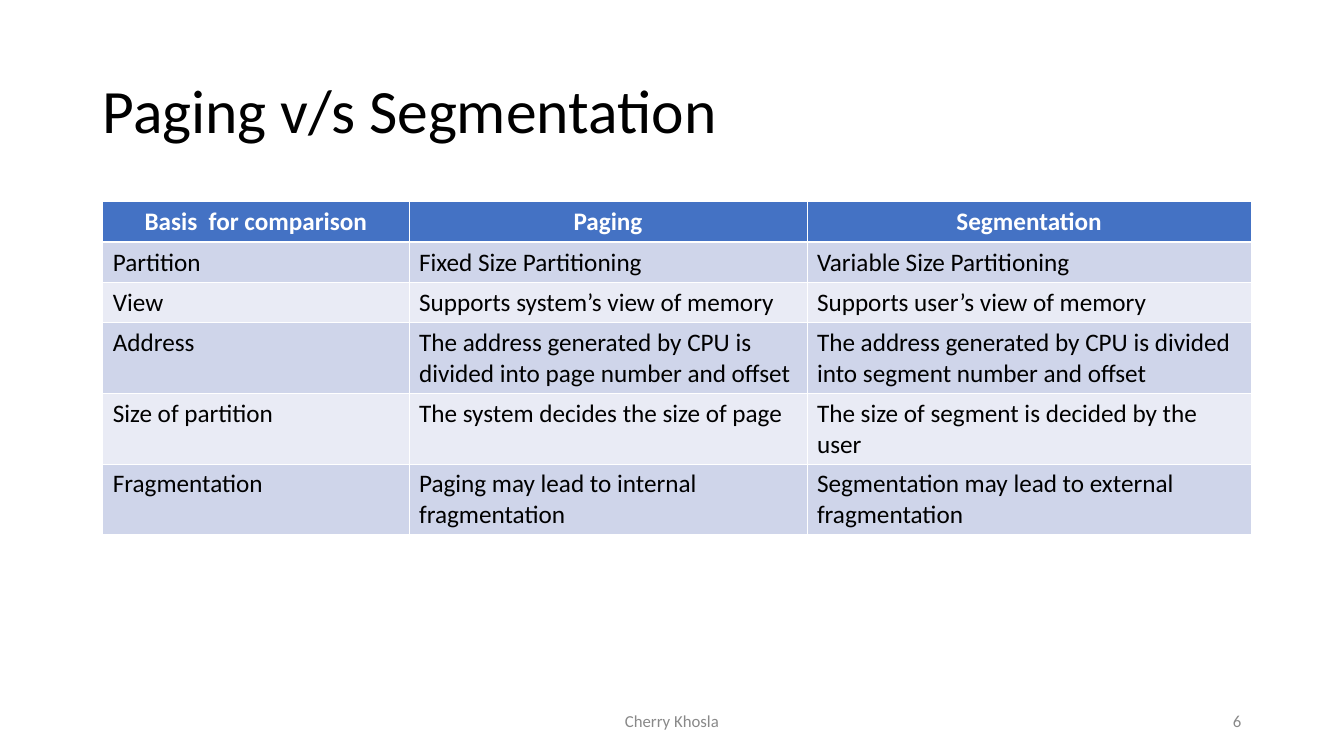
"""Build the slide that compares paging with segmentation."""
from dataclasses import dataclass

from lxml.etree import SubElement
from pptx import Presentation
from pptx.dml.color import RGBColor
from pptx.enum.text import MSO_ANCHOR, PP_ALIGN
from pptx.oxml.ns import qn
from pptx.slide import Slide
from pptx.table import _Cell
from pptx.text.text import _Paragraph
from pptx.util import Inches, Pt

FONT = "Calibri"
COLORS = {
    "black": "000000",
    "white": "FFFFFF",
    "gray": "898989",
    "head": "4472C4",
    "odd": "CFD5EA",
    "even": "E9EBF5",
}


@dataclass
class Label:
    """A line of text in its own box."""
    text: str
    left: float
    top: float
    width: float
    height: float
    size: int
    color: str
    align: PP_ALIGN
    spacing: float = 1.0


@dataclass
class Row:
    """A table row with its height."""
    height: float
    texts: tuple[str, str, str]


LABELS = [
    Label("Paging v/s Segmentation", 0.92, 0.4, 11.5, 1.45, 44, "black", PP_ALIGN.LEFT, 0.9),
    Label("Cherry Khosla", 4.42, 6.95, 4.5, 0.4, 12, "gray", PP_ALIGN.CENTER),
    Label("6", 9.42, 6.95, 3, 0.4, 12, "gray", PP_ALIGN.RIGHT),
]
WIDTHS = [3.04, 3.95, 4.41]
ROWS = [
    Row(0.4, ("Basis  for comparison", "Paging", "Segmentation")),
    Row(0.4, ("Partition", "Fixed Size Partitioning", "Variable Size Partitioning")),
    Row(0.4, ("View", "Supports system’s view of memory", "Supports user’s view of memory")),
    Row(0.7, ("Address",
              "The address generated by CPU is divided into page number and offset",
              "The address generated by CPU is divided into segment number and offset")),
    Row(0.7, ("Size of partition",
              "The system decides the size of page",
              "The size of segment is decided by the user")),
    Row(0.7, ("Fragmentation",
              "Paging may lead to internal fragmentation",
              "Segmentation may lead to external fragmentation")),
]


def rgb(name: str) -> RGBColor:
    """Look up a colour by name."""
    return RGBColor.from_string(COLORS[name])


def style(para: _Paragraph, size: int, color: str, align: PP_ALIGN, bold: bool = False) -> None:
    """Set the font and alignment of a paragraph."""
    para.alignment = align
    font = para.font
    font.name, font.size, font.bold = FONT, Pt(size), bold
    font.color.rgb = rgb(color)


def write(slide: Slide, label: Label) -> None:
    """Add a label to the slide."""
    box = slide.shapes.add_textbox(
        Inches(label.left), Inches(label.top), Inches(label.width), Inches(label.height))
    frame = box.text_frame
    frame.word_wrap = True
    frame.vertical_anchor = MSO_ANCHOR.MIDDLE
    frame.text = label.text
    para = frame.paragraphs[0]
    para.line_spacing = label.spacing
    style(para, label.size, label.color, label.align)


def edge(cell: _Cell, sides: dict[str, float]) -> None:
    """Draw white borders with the given widths in points."""
    props = cell._tc.get_or_add_tcPr()
    for side, width in sides.items():
        line = SubElement(props, qn(f"a:ln{side}"), w=str(Pt(width)))
        fill = SubElement(line, qn("a:solidFill"))
        SubElement(fill, qn("a:srgbClr"), val=COLORS["white"])


def grid(slide: Slide) -> None:
    """Add the comparison table."""
    height = sum(row.height for row in ROWS)
    table = slide.shapes.add_table(
        len(ROWS), len(WIDTHS), Inches(1.02), Inches(2),
        Inches(sum(WIDTHS)), Inches(height)).table
    for col, width in zip(table.columns, WIDTHS):
        col.width = Inches(width)
    for i, row in enumerate(ROWS):
        table.rows[i].height = Inches(row.height)
        head = i == 0
        shade = "head" if head else "odd" if i % 2 else "even"
        sides = {"L": 0.45, "R": 0.45, "T": 1.47 if i == 1 else 0.45, "B": 1.47 if head else 0.45}
        for j, text in enumerate(row.texts):
            cell = table.cell(i, j)
            edge(cell, sides)
            cell.fill.solid()
            cell.fill.fore_color.rgb = rgb(shade)
            cell.text = text
            style(cell.text_frame.paragraphs[0], 18, "white" if head else "black",
                  PP_ALIGN.CENTER if head else PP_ALIGN.LEFT, head)


def main() -> None:
    """Build and save the deck."""
    deck = Presentation()
    deck.slide_width, deck.slide_height = Inches(13.34), Inches(7.5)
    slide = deck.slides.add_slide(deck.slide_layouts[6])
    for label in LABELS:
        write(slide, label)
    grid(slide)
    deck.save("out.pptx")


if __name__ == "__main__":
    main()
